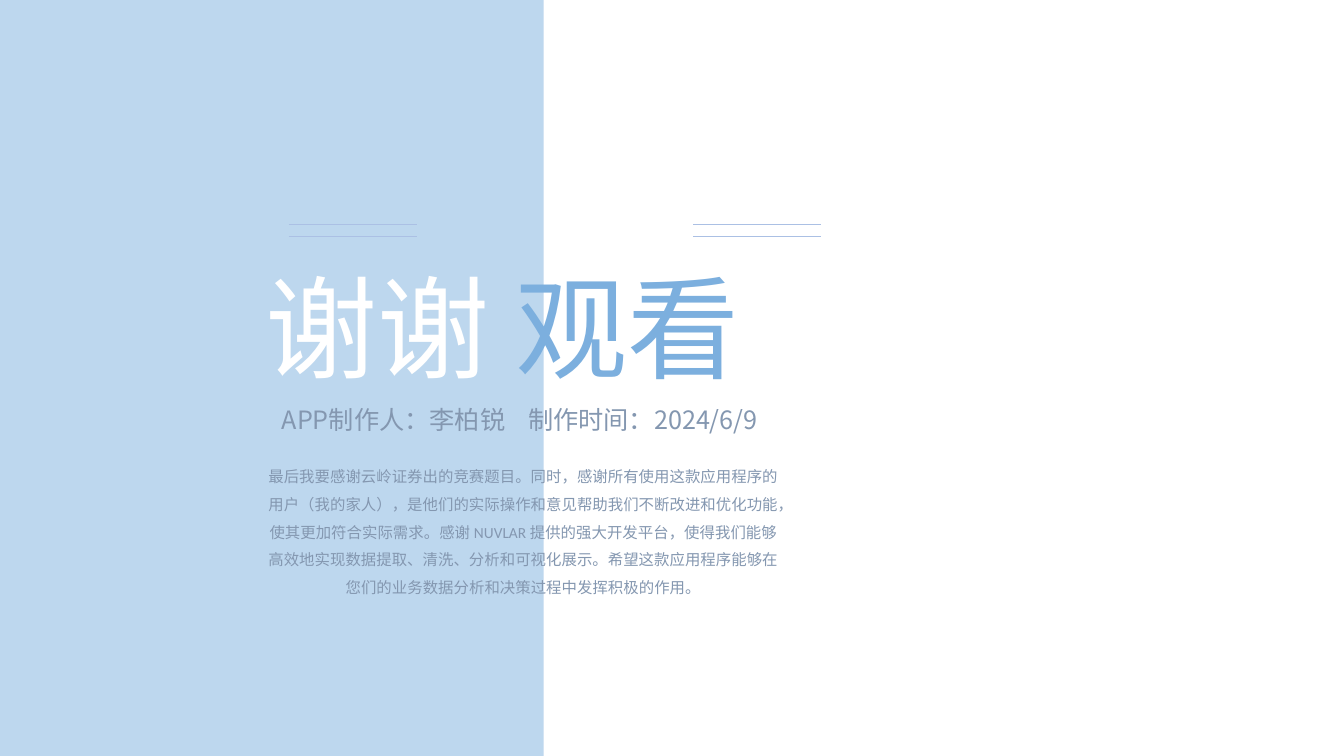
import pptx
import pptx.dml.color
import pptx.enum.shapes
import pptx.enum.text
import pptx.oxml.ns
import pptx.util
from lxml import etree
from pptx.util import Cm

PALE_BLUE = pptx.dml.color.RGBColor(0xBD, 0xD7, 0xEE)
RULE_BLUE = pptx.dml.color.RGBColor(0xAB, 0xC0, 0xE4)
TITLE_BLUE = pptx.dml.color.RGBColor(0x7C, 0xAF, 0xDE)
SLATE = pptx.dml.color.RGBColor(0x84, 0x97, 0xB0)
WHITE = pptx.dml.color.RGBColor(0xFF, 0xFF, 0xFF)

CJK_FONT = "Noto Sans CJK SC"
ALIGN = pptx.enum.text.PP_ALIGN
THANKS = (
    "最后我要感谢云岭证券出的竞赛题目。同时，感谢所有使用这款应用程序的用户（我的家人），"
    "是他们的实际操作和意见帮助我们不断改进和优化功能，使其更加符合实际需求。"
    "感谢 NUVLAR 提供的强大开发平台，使得我们能够高效地实现数据提取、清洗、分析和可视化展示。"
    "希望这款应用程序能够在您们的业务数据分析和决策过程中发挥积极的作用。"
)


def add_panel(slide, width, height):
    panel = slide.shapes.add_shape(
        pptx.enum.shapes.MSO_SHAPE.RECTANGLE, 0, 0, width, height)
    panel.shadow.inherit = False
    panel.fill.solid()
    panel.fill.fore_color.rgb = PALE_BLUE
    panel.line.fill.background()


def add_rule(slide, left, top, width):
    rule = slide.shapes.add_connector(
        pptx.enum.shapes.MSO_CONNECTOR.STRAIGHT, left, top, left + width, top)
    rule.line.color.rgb = RULE_BLUE
    rule.line.width = pptx.util.Pt(0.5)
    etree.SubElement(rule._element.spPr, pptx.oxml.ns.qn("a:effectLst"))


def add_text(slide, box, parts, size, font, align, spacing=None, tab=None):
    """Add one paragraph made of (text, colour) parts, with an optional tab stop."""
    frame = slide.shapes.add_textbox(*(Cm(length) for length in box)).text_frame
    frame.word_wrap = True
    frame.vertical_anchor = pptx.enum.text.MSO_ANCHOR.MIDDLE
    paragraph = frame.paragraphs[0]
    paragraph.alignment = align
    if spacing:
        paragraph.line_spacing = spacing
    properties = paragraph._p.get_or_add_pPr()
    if tab:
        tabs = etree.SubElement(properties, pptx.oxml.ns.qn("a:tabLst"))
        etree.SubElement(tabs, pptx.oxml.ns.qn("a:tab"), pos=str(Cm(tab)), algn="l")
    paragraph.font.size = pptx.util.Pt(size)
    paragraph.font.name = font
    if len(parts) == 1:
        paragraph.font.color.rgb = parts[0][1]
    for text, colour in parts:
        run = paragraph.add_run()
        run.text = text
        if len(parts) > 1:
            run.font.color.rgb = colour
    defaults = properties.find(pptx.oxml.ns.qn("a:defRPr"))
    etree.SubElement(defaults, pptx.oxml.ns.qn("a:ea"), typeface=CJK_FONT)


def main():
    deck = pptx.Presentation()
    deck.slide_width, deck.slide_height = Cm(33.87), Cm(19.05)
    slide = deck.slides.add_slide(deck.slide_layouts[6])

    add_panel(slide, Cm(13.7), deck.slide_height)
    add_text(slide, (6.45, 6.38, 13.87, 3.68),
             [("谢谢 ", WHITE), ("观看", TITLE_BLUE)], 80, "Arial", ALIGN.JUSTIFY)
    for left in (7.28, 17.47):
        for top in (5.66, 5.96):
            add_rule(slide, Cm(left), Cm(top), Cm(3.23))
    add_text(slide, (6.85, 10.06, 13.06, 1.02),
             [("APP制作人：李柏锐\t制作时间：2024/6/9", SLATE)],
             18, CJK_FONT, ALIGN.JUSTIFY, tab=6.21)
    add_text(slide, (6.47, 11.4, 13.44, 3.78), [(THANKS, SLATE)],
             11, "Calibri", ALIGN.CENTER, spacing=1.5)

    deck.save("out.pptx")


if __name__ == "__main__":
    main()
